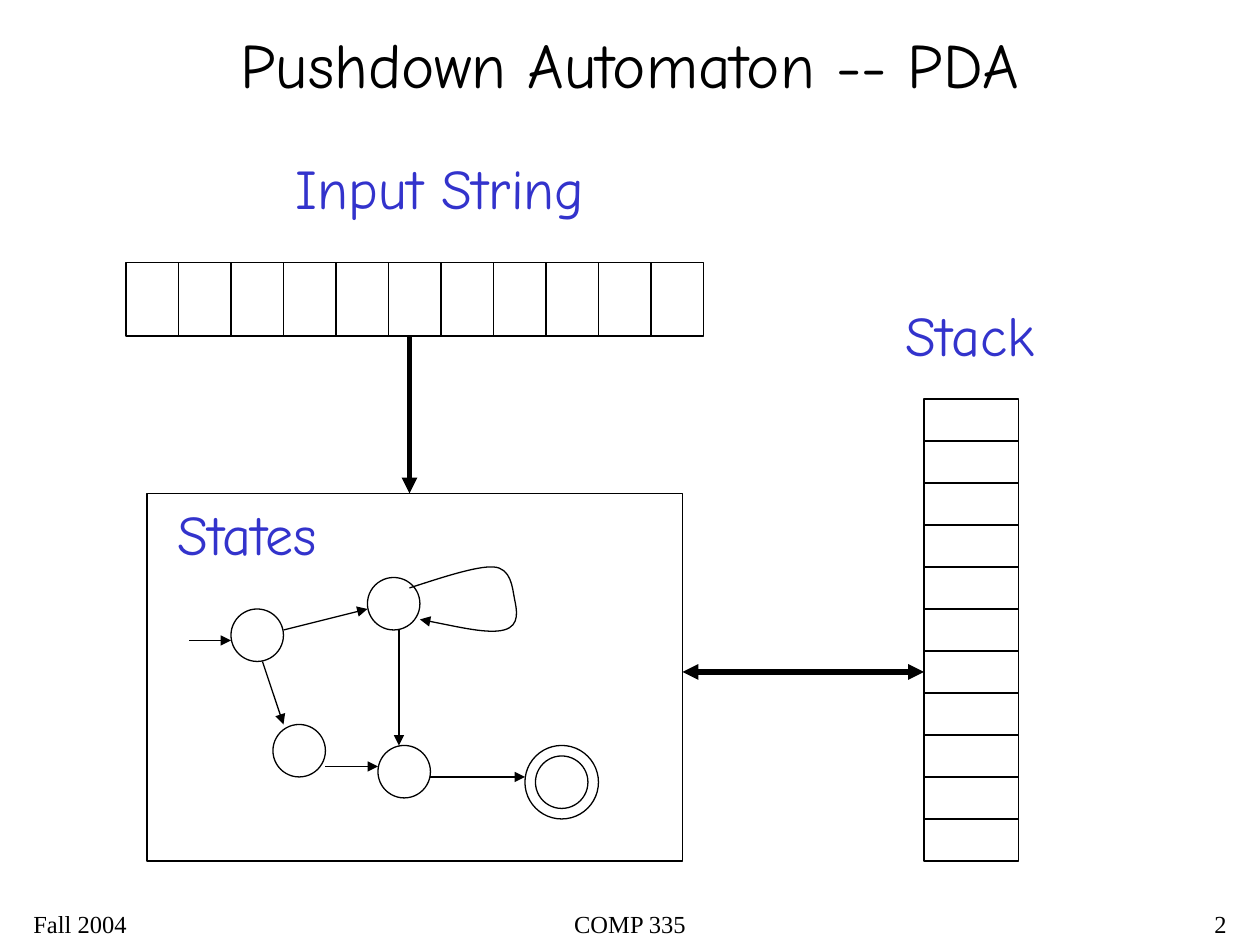
from lxml import etree
from pptx import Presentation
from pptx.dml.color import RGBColor
from pptx.enum.shapes import MSO_CONNECTOR, MSO_SHAPE
from pptx.enum.text import MSO_ANCHOR, PP_ALIGN
from pptx.oxml.ns import qn
from pptx.util import Inches, Pt

RECT, OVAL = MSO_SHAPE.RECTANGLE, MSO_SHAPE.OVAL
STRAIGHT = MSO_CONNECTOR.STRAIGHT
LEFT, CENTER, RIGHT = PP_ALIGN.LEFT, PP_ALIGN.CENTER, PP_ALIGN.RIGHT
TOP, MIDDLE = MSO_ANCHOR.TOP, MSO_ANCHOR.MIDDLE
BLACK = RGBColor(0x00, 0x00, 0x00)
BLUE = RGBColor(0x33, 0x33, 0xCC)
COMIC, TIMES = "Comic Neue", "Times New Roman"
COLS, ROWS = 120, 90
THIN, THICK = 0.75, 3


class Sketch:
    """Draws on one slide; lengths are columns and rows of the grid."""

    def __init__(self, deck):
        self.slide = deck.slides.add_slide(deck.slide_layouts[6])
        self.shapes = self.slide.shapes
        self.col = deck.slide_width / COLS
        self.row = deck.slide_height / ROWS

    def spot(self, x, y):
        return round(x * self.col), round(y * self.row)

    def stroke(self, item, width=THIN, ends=()):
        """Set a black line; ends may hold headEnd and tailEnd."""
        item.line.color.rgb = BLACK
        item.line.width = Pt(width)
        for end in ends:
            tip = etree.SubElement(item.line._get_or_add_ln(), qn("a:" + end))
            tip.set("type", "triangle")

    def shape(self, kind, x, y, w, h):
        item = self.shapes.add_shape(kind, *self.spot(x, y), *self.spot(w, h))
        item.shadow.inherit = False
        item.fill.background()
        self.stroke(item)

    def line(self, start, stop, width=THIN, ends=()):
        item = self.shapes.add_connector(
            STRAIGHT, *self.spot(*start), *self.spot(*stop))
        self.stroke(item, width, ends)
        etree.SubElement(item._element.spPr, qn("a:effectLst"))

    def curve(self, start, points):
        """Draw cubic curves; every three points make one segment."""
        pen = self.shapes.build_freeform(*self.spot(*start))
        pen.add_line_segments([self.spot(*p) for p in points], close=False)
        item = pen.convert_to_shape()
        legs = list(item._element.iter(qn("a:lnTo")))
        for i in range(0, len(legs), 3):
            bend = etree.Element(qn("a:cubicBezTo"))
            legs[i].addprevious(bend)
            for leg in legs[i:i + 3]:
                bend.append(leg[0])
                leg.getparent().remove(leg)
        item.shadow.inherit = False
        item.fill.background()
        self.stroke(item, ends=["tailEnd"])

    def text(self, words, x, y, w, h, font=COMIC, size=32, color=BLUE,
             align=LEFT, anchor=TOP, before=0, wrap=True):
        box = self.shapes.add_textbox(*self.spot(x, y), *self.spot(w, h))
        frame = box.text_frame
        frame.word_wrap = wrap
        frame.vertical_anchor = anchor
        para = frame.paragraphs[0]
        para.alignment = align
        para.space_before = Pt(before)
        run = para.add_run()
        run.text = words
        run.font.name = font
        run.font.size = Pt(size)
        run.font.color.rgb = color


def main():
    deck = Presentation()
    deck.slide_width, deck.slide_height = Inches(10), Inches(7.5)
    art = Sketch(deck)

    art.text("Pushdown Automaton -- PDA", 2, 1.8, 116, 8.4, size=36,
             color=BLACK, align=CENTER, anchor=MIDDLE)

    # Automaton: box, states and moves
    art.shape(RECT, 14, 47, 51, 35)
    for x, y, size in [(22, 58, 5), (36, 71, 5), (35, 55, 5),
                       (51, 72, 5), (50, 71, 7), (26, 69, 5)]:
        art.shape(OVAL, x, y, size, size)
    for start, stop in [((27, 60), (35, 58)), ((18, 61), (22, 61)),
                        ((41, 74), (50, 74)), ((31, 73), (36, 73)),
                        ((38, 60), (38, 71)), ((25, 63), (27, 69))]:
        art.line(start, stop, ends=["tailEnd"])
    art.curve((39, 56), [
        (42.1, 55), (45.4, 53.9), (47, 54),
        (48.7, 54.1), (48.8, 56), (49, 57),
        (49.2, 58), (49.6, 59.6), (48, 60),
        (46.5, 60.4), (43.2, 59.6), (40, 59)])

    # Stack and input tape, eleven cells each
    art.shape(RECT, 88, 38, 9, 44)
    art.shape(RECT, 12, 25, 55, 7)
    for i in range(1, 11):
        art.line((12 + 5 * i, 25), (12 + 5 * i, 32))
        art.line((88, 38 + 4 * i), (97, 38 + 4 * i))

    art.line((39, 32), (39, 47), THICK, ["tailEnd"])
    art.line((88, 64), (65, 64), THICK, ["headEnd", "tailEnd"])

    for words, x, y, w in [("Input String", 27, 14, 29.9),
                           ("Stack", 85.1, 28, 14.8),
                           ("States", 15.7, 47, 16.1)]:
        art.text(words, x, y, w, 7.7, before=8, wrap=False)

    for words, x, w, align in [("COMP 335", 41, 38, CENTER),
                               ("2", 93, 25, RIGHT),
                               ("Fall 2004", 2, 25, LEFT)]:
        art.text(words, x, 86, w, 4, font=TIMES, size=14, color=BLACK,
                 align=align)

    deck.save("out.pptx")


if __name__ == "__main__":
    main()
